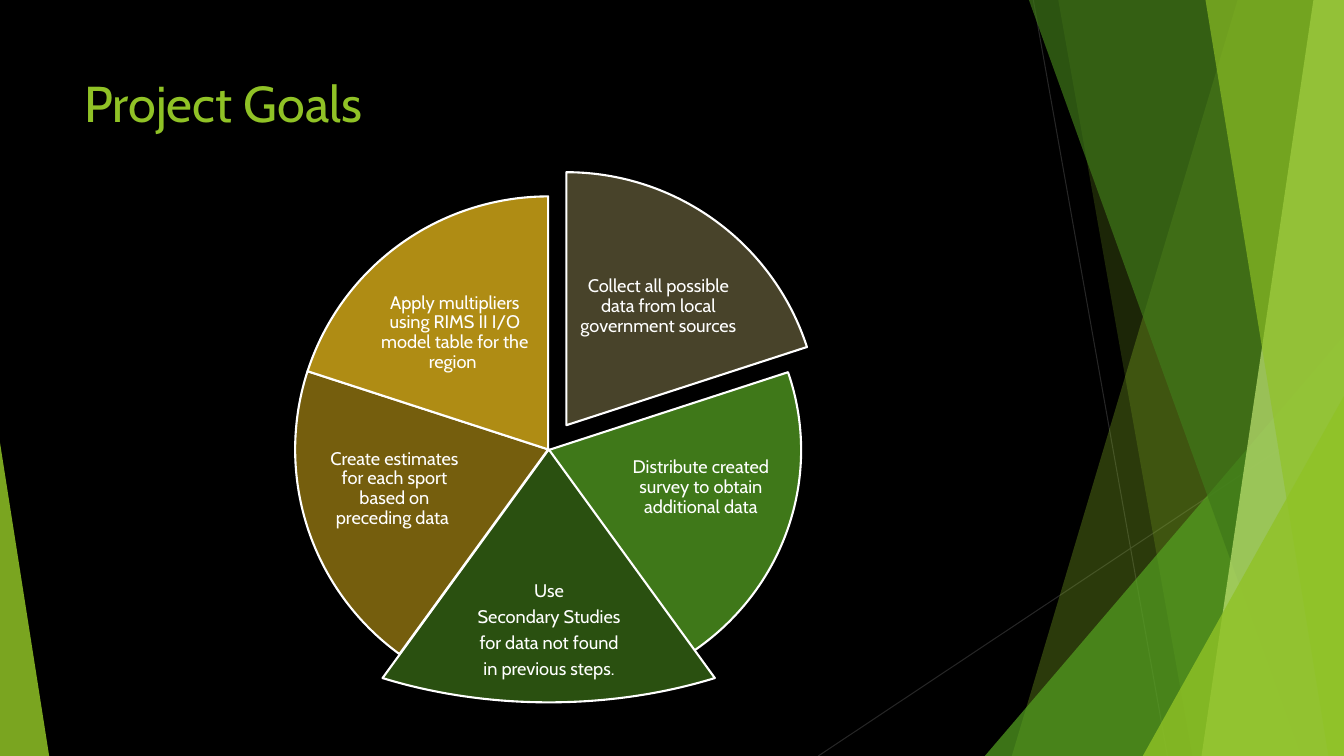
from pptx import Presentation
from pptx.dml.color import RGBColor
from pptx.enum.shapes import MSO_CONNECTOR, MSO_SHAPE
from pptx.enum.text import MSO_ANCHOR, PP_ALIGN
from pptx.oxml.ns import qn
from pptx.util import Cm, Pt
from lxml import etree

LINE = MSO_CONNECTOR.STRAIGHT
WEDGE = MSO_SHAPE.PIE
SPIKE = MSO_SHAPE.ISOSCELES_TRIANGLE
TOP = MSO_ANCHOR.TOP
MIDDLE = MSO_ANCHOR.MIDDLE
LEFT = PP_ALIGN.LEFT
CENTER = PP_ALIGN.CENTER

WIDE, HIGH = 33.87, 19.05
LIME = "90C226"
WHITE = "FFFFFF"


def paint(fill, hue, alpha=100):
    fill.solid()
    fill.fore_color.rgb = RGBColor.from_string(hue)
    if alpha < 100:
        color = shape.element.find(".//" + qn("a:srgbClr"))
        etree.SubElement(color, qn("a:alpha"), val=str(alpha * 1000))


def write(box, lines, size, hue, inset, anchor, look):
    frame = slide.shapes.add_textbox(*map(Cm, box)).text_frame
    style = {
        "word_wrap": True,
        "vertical_anchor": anchor,
        "margin_left": Cm(inset[0]),
        "margin_right": Cm(inset[0]),
        "margin_top": Cm(inset[1]),
        "margin_bottom": Cm(inset[1]),
    }
    for key, value in style.items():
        setattr(frame, key, value)
    for i, line in enumerate(lines):
        para = frame.add_paragraph() if i else frame.paragraphs[0]
        for key, value in look.items():
            setattr(para, key, value)
        run = para.add_run()
        run.text = line
        for key, value in {"name": "Cabin", "size": Pt(size)}.items():
            setattr(run.font, key, value)
        run.font.color.rgb = RGBColor.from_string(hue)


deck = Presentation()
deck.slide_width = Cm(WIDE)
deck.slide_height = Cm(HIGH)
slide = deck.slides.add_slide(deck.slide_layouts[6])
paint(slide.background.fill, "000000")

for ends in [(26.04, 0, 29.42, HIGH), (WIDE, 10.24, 20.62, HIGH)]:
    ray = slide.shapes.add_connector(LINE, *map(Cm, ends))
    paint(ray.line.fill, "262626")
    ray.line.width = Pt(0.75)
    etree.SubElement(ray.element.spPr, qn("a:effectLst"))

shards = [
    ("band", LIME, 30, (31.19, 25.5)),
    ("band", LIME, 20, (26.67, 30.05)),
    ("spike", "54A021", 72, (24.82, 9.05, 10.59, 1)),
    ("band", "3F7819", 70, (25.93, 32.79)),
    ("band", "C0E474", 70, (33.1, 30.28)),
    ("band", LIME, 65, (30.38, 33.48)),
    ("spike", LIME, 80, (28.8, 5.07, 9.07, 1)),
    ("spike", LIME, 85, (0, 1.24, 7.9, 0)),
]
for kind, hue, alpha, dims in shards:
    if kind == "band":
        head, foot = dims
        pen = slide.shapes.build_freeform(Cm(head), 0)
        rest = [(WIDE, 0), (WIDE, HIGH), (foot, HIGH)]
        pen.add_line_segments([(Cm(x), Cm(y)) for x, y in rest])
        shape = pen.convert_to_shape()
    else:
        left, width, height, apex = dims
        shape = slide.shapes.add_shape(
            SPIKE, Cm(left), Cm(HIGH - height), Cm(width), Cm(height))
        shape.adjustments[0] = apex
    shape.shadow.inherit = False
    paint(shape.fill, hue, alpha)
    shape.line.fill.background()

write((1.88, 1.7, 23.88, 3.66), ["Project Goals"], 36, LIME,
      (0.25, 0.13), TOP, {"alignment": LEFT})

goals = [
    ("48432A", (7.9, 4.34, 12.75, 12.75), (14.43, 6.25, 4.32, 2.95),
     ["Collect all possible data from local government sources"]),
    ("3F7819", (7.44, 5.16, 12.75, 12.37), (15.77, 10.74, 3.78, 3.1),
     ["Distribute created survey to obtain additional data"]),
    ("2A5010", (4.04, 4.95, 19.58, 12.75), (10.34, 14.53, 6.99, 2.74),
     ["Use", "Secondary Studies", "for data not found", "in previous steps."]),
    ("755E0D", (7.44, 4.95, 12.75, 12.75), (8.05, 10.72, 3.78, 3.2),
     ["Create estimates for each sport based on preceding data "]),
    ("AF8C14", (7.44, 4.95, 12.75, 12.75), (9.3, 6.91, 4.32, 2.95),
     ["Apply multipliers using RIMS II I/O model table for the region "]),
]
look = {"alignment": CENTER, "line_spacing": 0.9, "space_after": Pt(4.55)}
turn = 360 / len(goals)
for i, (hue, round_box, box, lines) in enumerate(goals):
    shape = slide.shapes.add_shape(WEDGE, *map(Cm, round_box))
    start = 270 + i * turn
    for side in (0, 1):
        shape.adjustments[side] = (start + side * turn) % 360 * 0.6
    shape.shadow.inherit = False
    paint(shape.fill, hue)
    paint(shape.line.fill, WHITE)
    shape.line.width = Pt(1.5)
    write(box, lines, 13, WHITE, (0.05, 0.05), MIDDLE, look)

deck.save("out.pptx")
